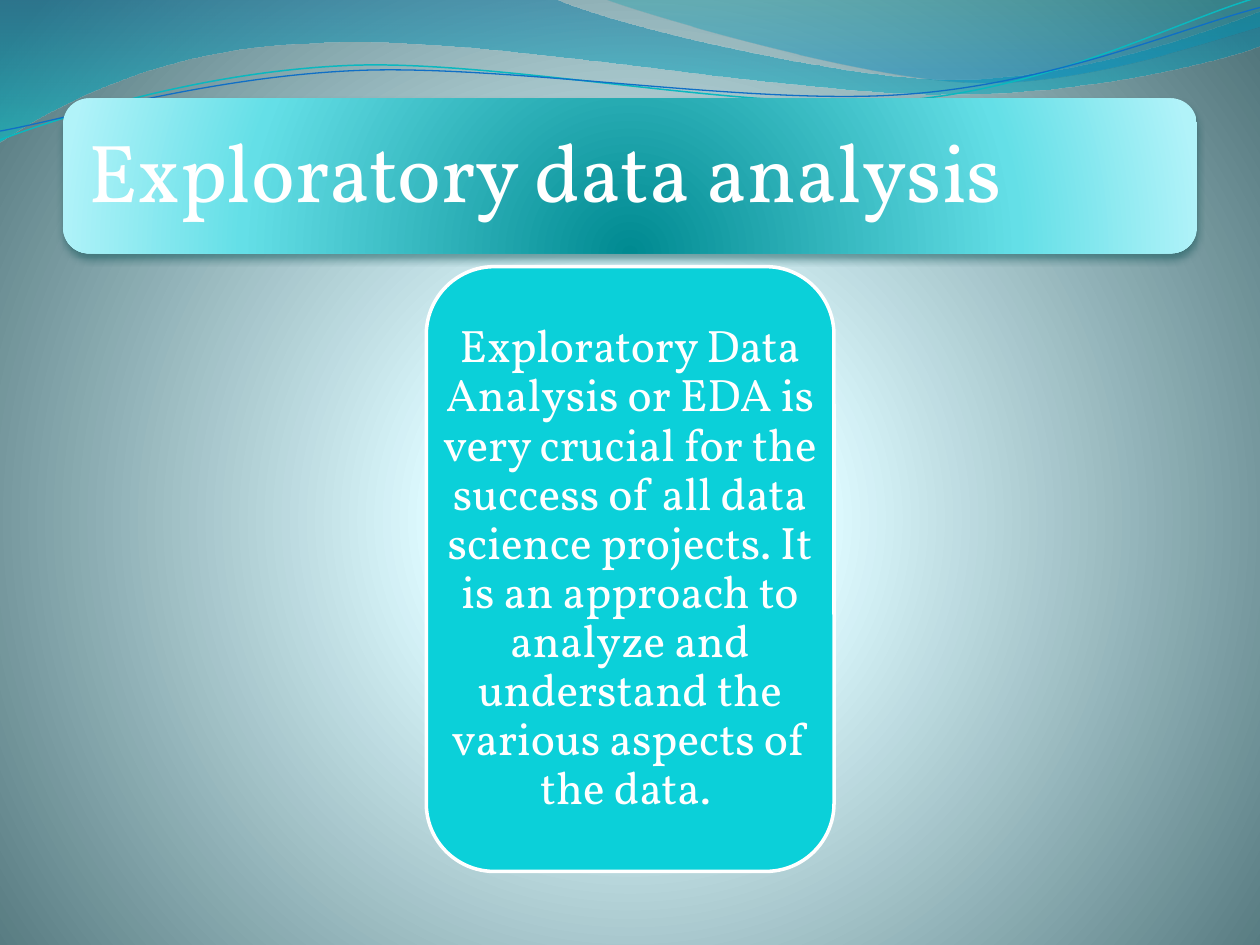
import math
from dataclasses import dataclass
from typing import Optional

from lxml import etree
from pptx import Presentation
from pptx.dml.color import RGBColor
from pptx.enum.shapes import MSO_SHAPE
from pptx.enum.text import MSO_ANCHOR, MSO_AUTO_SIZE, PP_ALIGN
from pptx.oxml.ns import qn
from pptx.util import Pt

ROUNDED = MSO_SHAPE.ROUNDED_RECTANGLE
MIDDLE = MSO_ANCHOR.MIDDLE
FIXED = MSO_AUTO_SIZE.NONE
LEFT, CENTER = PP_ALIGN.LEFT, PP_ALIGN.CENTER

WHITE = RGBColor(0xFF, 0xFF, 0xFF)
TURQUOISE = RGBColor(0x0B, 0xD0, 0xD9)
DARK_TURQUOISE = RGBColor(0x0A, 0xB8, 0xBF)
BLUE = RGBColor(0x0F, 0x6F, 0xC6)
GLOW = RGBColor(0xDE, 0xFB, 0xFF)
PALE_GLOW = RGBColor(0xDD, 0xFA, 0xFF)
SLATE = RGBColor(0x52, 0x76, 0x7C)
SEA_BLUE = RGBColor(0x00, 0x74, 0xA1)
SEA_CYAN = RGBColor(0x00, 0xC6, 0xCF)
SEA_TEAL = RGBColor(0x00, 0xA1, 0xA9)
SKY_BLUE = RGBColor(0x00, 0x8B, 0xBF)
DEEP_TEAL = RGBColor(0x00, 0x8A, 0x91)
LIGHT_CYAN = RGBColor(0x64, 0xDF, 0xE7)
PALE_CYAN = RGBColor(0xB1, 0xF3, 0xF9)
SHADOW = RGBColor(0x02, 0x4B, 0x4E)

FONT = "Vollkorn"
TILT = -2.7


@dataclass(frozen=True)
class Stop:
    position: int
    color: RGBColor
    opacity: int = 100


@dataclass(frozen=True)
class Gradient:
    stops: tuple
    focus: Optional[tuple] = None


@dataclass(frozen=True)
class Wave:
    start: tuple
    segments: tuple
    gradient: Optional[Gradient] = None
    color: Optional[RGBColor] = None
    weight: float = 0
    pivot: Optional[tuple] = None


@dataclass(frozen=True)
class Frame:
    left: float
    top: float
    width: float
    height: float

    def lengths(self) -> tuple:
        return Pt(self.left), Pt(self.top), Pt(self.width), Pt(self.height)


BACKDROP = Gradient((Stop(0, GLOW), Stop(25, PALE_GLOW), Stop(100, SLATE)), (10, 110, 10, 100))
BANNER_GRADIENT = Gradient(
    (Stop(0, DEEP_TEAL), Stop(68, LIGHT_CYAN), Stop(100, PALE_CYAN)), (50, 130, 50, -30)
)
WAVES = (
    Wave(
        (0, 0),
        (
            (316.8, -0.7),
            (342.7, 12.2, 478.1, 45.4, 545.8, 45.4),
            (614.2, 45.4, 689.8, 18.7, 720, 6.5),
            (720.7, 25.9),
            (707.8, 31.7, 626.4, 54.7, 537.1, 54),
            (447.1, 54, 275, 20.2, 185, 24.5),
            (92.9, 25.9, 33.1, 59.8, -0.7, 81.4),
            (0, 0),
        ),
        Gradient((Stop(0, SEA_BLUE, 45), Stop(100, SEA_CYAN, 55))),
    ),
    Wave(
        (344.9, -0.7),
        (
            (366.5, 7.9, 491, 44.6, 553.7, 46.8),
            (616.3, 49.7, 691.9, 23, 720, 15.1),
            (720, 0),
            (344.9, -0.7),
        ),
        Gradient((Stop(0, SEA_TEAL, 30), Stop(80, SKY_BLUE, 45))),
    ),
    Wave(
        (0, 79.9),
        (
            (34.6, 67, 113.8, 41, 199.4, 37.4),
            (284.4, 33.8, 427, 64.1, 513.4, 57.6),
            (599.8, 51.1, 675.4, 10.8, 718.6, -1.4),
        ),
        color=DARK_TURQUOISE,
        weight=0.85,
        pivot=(359.3, 41.4),
    ),
    Wave(
        (0, 74.9),
        (
            (33.8, 69.1, 118.1, 43.9, 203.8, 40.3),
            (290.2, 36.7, 429.8, 60.5, 516.2, 54),
            (601.9, 48.2, 677.5, 15.1, 720, 4.3),
        ),
        color=BLUE,
        weight=0.75,
        pivot=(359.6, 42.5),
    ),
)
BANNER = Frame(36, 56.2, 648, 88.6)
CARD = Frame(243.6, 152.4, 233, 345.6)


def add_color(parent, color: RGBColor, opacity: int) -> None:
    node = etree.SubElement(parent, qn("a:srgbClr"), val=str(color))
    if opacity < 100:
        etree.SubElement(node, qn("a:alpha"), val=str(opacity * 1000))


def paint(fill, element, gradient: Gradient) -> None:
    fill.gradient()
    node = next(element.iter(qn("a:gradFill")))
    for child in list(node):
        node.remove(child)
    stops = etree.SubElement(node, qn("a:gsLst"))
    for stop in gradient.stops:
        mark = etree.SubElement(stops, qn("a:gs"), pos=str(stop.position * 1000))
        add_color(mark, stop.color, stop.opacity)
    if gradient.focus:
        rings = etree.SubElement(node, qn("a:path"), {"path": "circle"})
        sides = {side: str(value * 1000) for side, value in zip("ltrb", gradient.focus)}
        etree.SubElement(rings, qn("a:fillToRect"), sides)
    else:
        etree.SubElement(node, qn("a:lin"), ang="5400000", scaled="1")


def level(point: tuple, pivot: Optional[tuple]) -> tuple:
    x, y = point
    if pivot:
        turn = math.radians(-TILT)
        across, down = x - pivot[0], y - pivot[1]
        x = pivot[0] + across * math.cos(turn) - down * math.sin(turn)
        y = pivot[1] + across * math.sin(turn) + down * math.cos(turn)
    return Pt(x), Pt(y)


def bend(shape, segments: tuple) -> None:
    outline = next(shape.element.iter(qn("a:path")))
    nodes = iter(outline.findall(qn("a:lnTo")))
    for segment in segments:
        node = next(nodes)
        if len(segment) == 6:
            curve = etree.Element(qn("a:cubicBezTo"))
            outline.replace(node, curve)
            curve.append(node[0])
            for extra in (next(nodes), next(nodes)):
                curve.append(extra[0])
                outline.remove(extra)


def draw_wave(page, wave: Wave) -> None:
    points = [pair for part in wave.segments for pair in zip(part[::2], part[1::2])]
    first, *rest = [level(point, wave.pivot) for point in (wave.start, *points)]
    builder = page.shapes.build_freeform(*first)
    builder.add_line_segments(rest, close=wave.gradient is not None)
    shape = builder.convert_to_shape()
    bend(shape, wave.segments)
    shape.shadow.inherit = False
    if wave.gradient:
        paint(shape.fill, shape.element, wave.gradient)
        shape.line.fill.background()
    else:
        shape.rotation = TILT
        shape.fill.background()
        shape.line.color.rgb = wave.color
        shape.line.width = Pt(wave.weight)


def add_panel(page, frame: Frame):
    panel = page.shapes.add_shape(ROUNDED, *frame.lengths())
    panel.shadow.inherit = False
    return panel


def add_shadow(shape) -> None:
    effects = next(shape.element.iter(qn("a:effectLst")))
    values = {"blurRad": str(Pt(4.5)), "dist": str(Pt(3)), "dir": "5400000", "rotWithShape": "0"}
    add_color(etree.SubElement(effects, qn("a:outerShdw"), values), SHADOW, 48)


def set_all(target, values: dict) -> None:
    for name, value in values.items():
        setattr(target, name, value)


def write(page, box, frame: Frame, text: str, size: float, align, side: float, edge: float) -> None:
    page.shapes.element.append(box.element)
    set_all(box, dict(zip(("left", "top", "width", "height"), frame.lengths())))
    margins = {"margin_left": side, "margin_right": side, "margin_top": edge, "margin_bottom": edge}
    set_all(box.text_frame, {name: Pt(value) for name, value in margins.items()})
    layout = {"word_wrap": True, "auto_size": FIXED, "vertical_anchor": MIDDLE}
    set_all(box.text_frame, layout)
    para = box.text_frame.paragraphs[0]
    set_all(para, {"alignment": align, "line_spacing": 0.9, "space_before": Pt(0)})
    properties = para._p.get_or_add_pPr()
    properties.set("marL", "0")
    properties.set("indent", "0")
    etree.SubElement(properties, qn("a:buNone"))
    span = para.add_run()
    span.text = text
    set_all(span.font, {"name": FONT, "size": Pt(size)})
    span.font.color.rgb = WHITE


def main() -> None:
    deck = Presentation()
    set_all(deck, {"slide_width": Pt(720), "slide_height": Pt(540)})
    page = deck.slides.add_slide(deck.slide_layouts[1])
    title, body = page.placeholders
    paint(page.background.fill, page.element, BACKDROP)
    for wave in WAVES:
        draw_wave(page, wave)

    banner = add_panel(page, BANNER)
    paint(banner.fill, banner.element, BANNER_GRADIENT)
    banner.line.fill.background()
    add_shadow(banner)
    write(page, title, BANNER, "Exploratory data analysis", 47, LEFT, 14.4, 14.4)

    card = add_panel(page, CARD)
    card.fill.solid()
    card.fill.fore_color.rgb = TURQUOISE
    set_all(card.line, {"width": Pt(2)})
    card.line.color.rgb = WHITE
    summary = (
        "Exploratory Data Analysis or EDA is very crucial for the success of all data science "
        "projects. It is an approach to analyze and understand the various aspects of the data. "
    )
    write(page, body, CARD, summary, 26, CENTER, 7.9, 3.6)
    deck.save("out.pptx")


if __name__ == "__main__":
    main()
